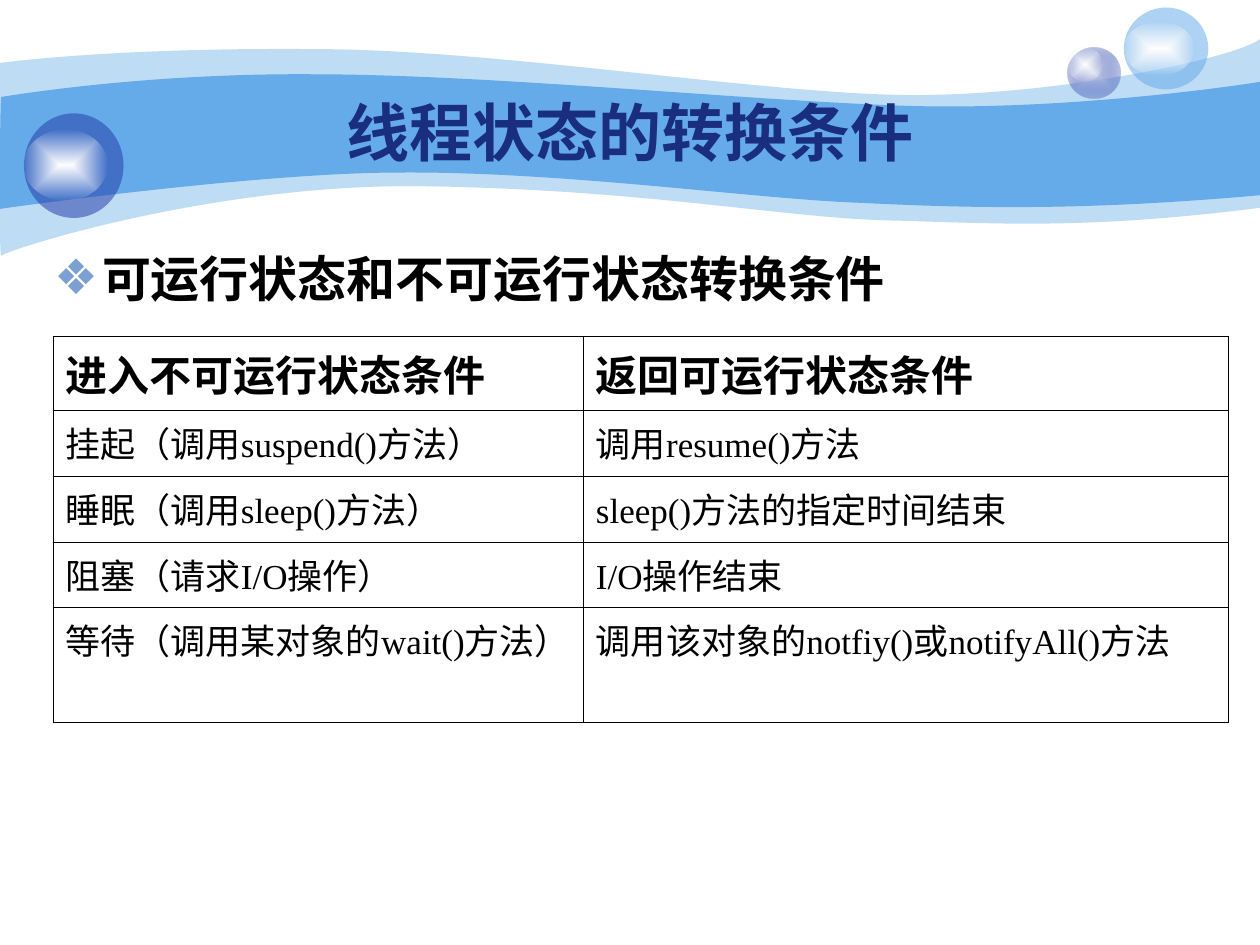
from lxml import etree
from pptx import Presentation
from pptx.dml.color import RGBColor
from pptx.enum.shapes import MSO_SHAPE
from pptx.enum.text import MSO_ANCHOR, MSO_AUTO_SIZE, PP_ALIGN
from pptx.oxml import parse_xml
from pptx.oxml.ns import qn
from pptx.util import Inches, Pt

OVAL = MSO_SHAPE.OVAL
CENTER = PP_ALIGN.CENTER
TOP, MIDDLE = MSO_ANCHOR.TOP, MSO_ANCHOR.MIDDLE
NO_AUTOFIT = MSO_AUTO_SIZE.NONE
NAMESPACE = 'xmlns:a="http://schemas.openxmlformats.org/drawingml/2006/main"'
CJK_FONT, LATIN_FONT = "Noto Sans CJK SC", "Times New Roman"
SKY, NAVY, BLACK = "65AAE9", "233DA9", "000000"
INDENT = Inches(0.38)


def set_font(paragraph, name, size, color, bold):
    font = paragraph.font
    font.size, font.bold = Pt(size), bold
    font.color.rgb = RGBColor.from_string(color)
    font.name = name
    properties = paragraph._p.pPr.find(qn("a:defRPr"))
    etree.SubElement(properties, qn("a:ea"), typeface=CJK_FONT)


def paint(shape, geometry, *stops):
    """One (colour, opacity %) stop gives a solid fill, two a glow from the centre."""
    shape.shadow.inherit = False
    shape.line.fill.background()
    colors = [f'<a:srgbClr val="{color}"><a:alpha val="{opacity * 1000}"/></a:srgbClr>'
              for color, opacity in stops]
    if len(colors) == 1:
        xml = f"<a:solidFill {NAMESPACE}>{colors[0]}</a:solidFill>"
    else:
        xml = (f'<a:gradFill {NAMESPACE} rotWithShape="1"><a:gsLst>'
               f'<a:gs pos="0">{colors[0]}</a:gs><a:gs pos="100000">{colors[1]}</a:gs></a:gsLst>'
               '<a:path path="rect"><a:fillToRect l="50000" t="50000" r="50000" b="50000"/>'
               "</a:path></a:gradFill>")
    shape._element.spPr.find(qn(geometry)).addnext(parse_xml(xml))


presentation = Presentation()
presentation.slide_width, presentation.slide_height = Inches(10), Inches(7.5)
slide = presentation.slides.add_slide(presentation.slide_layouts[1])
shapes = slide.shapes

# Waves in hundredths of an inch: opacity, top edge from left to right, bottom edge
# from right to left; after its first point each edge lists Bezier triples
waves = [
    (41,
     [(0, 50), (24, 47), (107, 38), (247, 39), (386, 39), (575, 70),
      (699, 75), (822, 80), (980, 47), (1000, 31)],
     [(1000, 165), (858, 183), (787, 177), (705, 175), (622, 173), (515, 151),
      (343, 148), (172, 144), (4, 199), (1, 203), (-1, 208), (0, 75), (0, 50)]),
    (100,
     [(1, 77), (2, 77), (110, 58), (248, 59), (386, 59), (595, 80),
      (718, 84), (841, 88), (976, 69), (1000, 65)],
     [(1000, 155), (853, 168), (765, 165), (682, 161), (599, 158), (447, 136),
      (317, 137), (203, 137), (-2, 166), (-1, 166), (0, 166), (0, 77), (1, 77)]),
]
for opacity, top_edge, bottom_edge in waves:
    builder = shapes.build_freeform(*top_edge[0], scale=Inches(0.01))
    builder.add_line_segments(top_edge[1:] + bottom_edge, close=True)
    wave = builder.convert_to_shape()
    # Join each three segments into one curve, keeping the line between the edges
    segments = list(wave._element.iter(qn("a:lnTo")))
    corner = len(top_edge) - 1
    curved = segments[:corner] + segments[corner + 1:]
    for start in range(0, len(curved), 3):
        triple = curved[start:start + 3]
        curve = etree.Element(qn("a:cubicBezTo"))
        triple[0].addprevious(curve)
        for segment in triple:
            curve.append(segment[0])
            segment.getparent().remove(segment)
    paint(wave, "a:custGeom", (SKY, opacity))

# Glass spheres: each a tinted disc below a white highlight
glow = [("FFFFFF", 100), ("FFFFFF", 0)]
discs = [
    ((8.47, 0.38, 0.42, 0.4), [("C7CEE9", 100), (NAVY, 31)]),
    ((8.47, 0.38, 0.28, 0.27), glow),
    ((8.92, 0.06, 0.67, 0.65), [(SKY, 53)]),
    ((8.92, 0.17, 0.56, 0.43), glow),
    ((0.19, 0.9, 0.79, 0.83), [(NAVY, 53)]),
    ((0.19, 1.03, 0.66, 0.56), glow),
]
for box, stops in discs:
    paint(shapes.add_shape(OVAL, *map(Inches, box)), "a:prstGeom", *stops)

# Title and lead line, brought in front of the waves
title, body = shapes.title, slide.placeholders[1]
for placeholder, box, text, anchor in (
        (title, (0.33, 0.42, 9.34, 1.25), "线程状态的转换条件", MIDDLE),
        (body, (0.33, 1.92, 7.35, 0.67), "可运行状态和不可运行状态转换条件", TOP)):
    placeholder.left, placeholder.top, placeholder.width, placeholder.height = map(Inches, box)
    frame = placeholder.text_frame
    frame.text = text
    frame.word_wrap = True
    frame.auto_size = NO_AUTOFIT
    frame.vertical_anchor = anchor
    shapes._spTree.append(placeholder._element)

heading = title.text_frame.paragraphs[0]
heading.alignment = CENTER
set_font(heading, CJK_FONT, 36, "1A2E7F", True)

lead = body.text_frame.paragraphs[0]
lead.space_before = Pt(0)
properties = lead._p.get_or_add_pPr()
properties.set("marL", str(INDENT))
properties.set("indent", str(-INDENT))
properties.append(parse_xml(f'<a:buClr {NAMESPACE}><a:srgbClr val="7DA0D3"/></a:buClr>'))
properties.append(parse_xml(f'<a:buChar {NAMESPACE} char="❖"/>'))
set_font(lead, CJK_FONT, 28, BLACK, True)

# Table of conditions
rows = [
    ("进入不可运行状态条件", "返回可运行状态条件"),
    ("挂起（调用suspend()方法）", "调用resume()方法"),
    ("睡眠（调用sleep()方法）", "sleep()方法的指定时间结束"),
    ("阻塞（请求I/O操作）", "I/O操作结束"),
    ("等待（调用某对象的wait()方法）", "调用该对象的notfiy()或notifyAll()方法"),
]
table = shapes.add_table(len(rows), 2, Inches(0.42), Inches(2.67),
                         Inches(9.33), Inches(2.89)).table
table.first_row = table.horz_banding = False
for column, width in zip(table.columns, (4.21, 5.12)):
    column.width = Inches(width)
for row, height in zip(table.rows, (0.55, 0.53, 0.52, 0.52, 0.77)):
    row.height = Inches(height)
for row_index, texts in enumerate(rows):
    is_header = row_index == 0
    for column_index, text in enumerate(texts):
        cell = table.cell(row_index, column_index)
        cell.text = text
        cell_properties = cell._tc.get_or_add_tcPr()
        for side in "LRTB":
            cell_properties.append(parse_xml(
                f'<a:ln{side} {NAMESPACE} w="{Pt(0.45)}"><a:solidFill>'
                f'<a:srgbClr val="{BLACK}"/></a:solidFill></a:ln{side}>'))
        cell.fill.background()
        paragraph = cell.text_frame.paragraphs[0]
        properties = paragraph._p.get_or_add_pPr()
        properties.set("marL", str(INDENT))
        properties.set("indent", str(-INDENT))
        set_font(paragraph, LATIN_FONT, 24 if is_header else 20, BLACK, is_header)

presentation.save("out.pptx")
